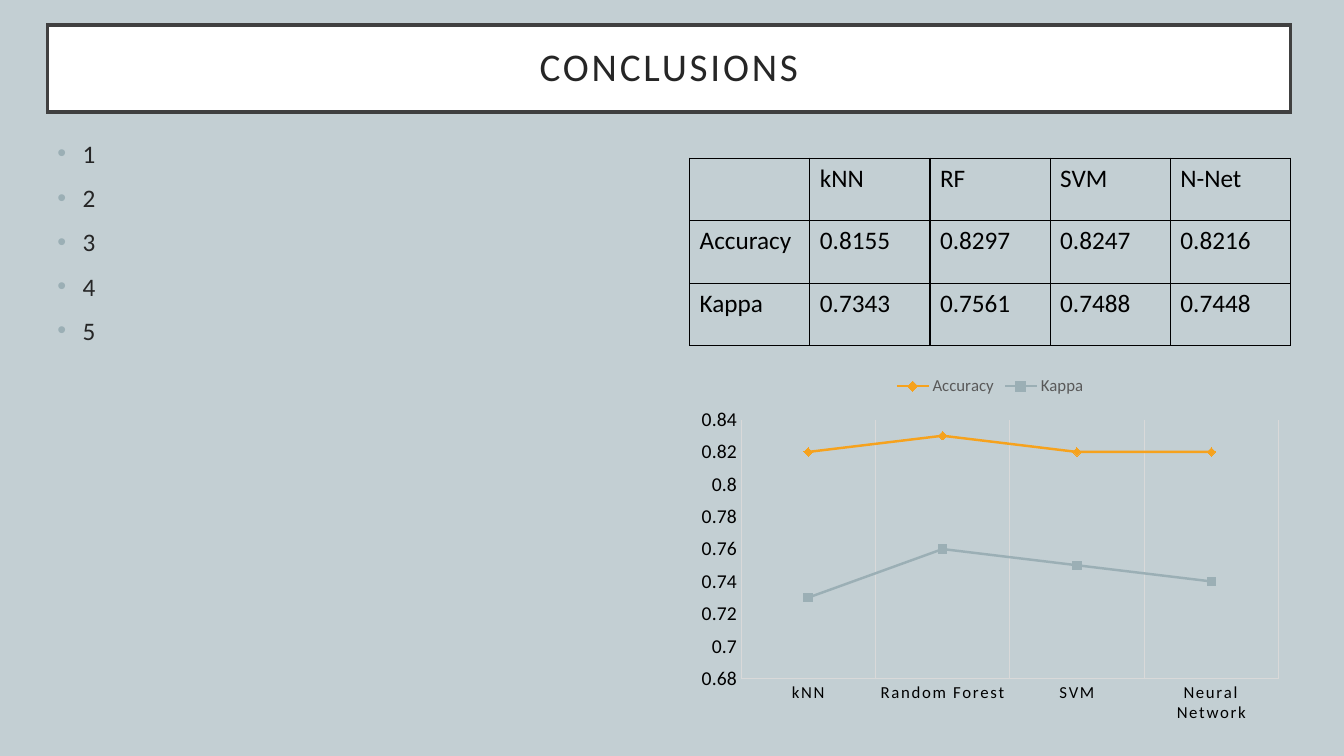
import pptx
import pptx.chart.data
import pptx.dml.color
import pptx.enum.chart
import pptx.enum.text
import pptx.oxml
import pptx.util
from dataclasses import dataclass
from pptx.oxml.ns import qn

TITLE = "CONCLUSIONS"
POINTS = ["1", "2", "3", "4", "5"]
MODELS = {"kNN": "kNN", "RF": "Random Forest", "SVM": "SVM", "N-Net": "Neural Network"}
SCORES = {
    "Accuracy": (0.8155, 0.8297, 0.8247, 0.8216),
    "Kappa": (0.7343, 0.7561, 0.7488, 0.7448),
}


@dataclass(frozen=True)
class Theme:
    font: str = "Calibri"
    background: str = "C3CFD3"
    white: str = "FFFFFF"
    frame: str = "404040"
    text: str = "262626"
    black: str = "000000"
    legend: str = "595959"
    grid: str = "D9D9D9"
    accent: str = "F6A21D"
    muted: str = "9BAFB5"
    title_size: int = 28
    body_size: int = 18
    value_size: int = 14
    label_size: int = 12
    chart_size: int = 10


THEME = Theme()
Inches, Pt = pptx.util.Inches, pptx.util.Pt
MARKER = pptx.enum.chart.XL_MARKER_STYLE
SERIES_STYLE = [(THEME.accent, MARKER.DIAMOND), (THEME.muted, MARKER.SQUARE)]
DRAWING_NS = 'xmlns:a="http://schemas.openxmlformats.org/drawingml/2006/main"'

LEFT, RIGHT = 0.47, 12.8
RIGHT_COLUMN = 6.84
COLUMN_WIDTH = RIGHT - RIGHT_COLUMN
ROW_HEIGHT = 0.62
BOTTOM = 7.24


def rgb(value):
    return pptx.dml.color.RGBColor.from_string(value)


def set_font(font, size, color):
    font.name, font.size = THEME.font, Pt(size)
    font.color.rgb = rgb(color)


def set_fill(fill, color):
    fill.solid()
    fill.fore_color.rgb = rgb(color)


def set_line(line, color, width):
    line.color.rgb = rgb(color)
    line.width = Pt(width)


def add_text(p, text, *, size=THEME.body_size, color=THEME.text, spacing=None):
    r = p.add_run()
    r.text = text
    set_font(r.font, size, color)
    if spacing:
        r.font._element.set("spc", str(spacing * 100))


def place(sp, left, top, width, height):
    sp.left, sp.top, sp.width, sp.height = map(Inches, (left, top, width, height))


def add_bullet(p):
    pPr = p._p.get_or_add_pPr()
    pPr.set("marL", str(Inches(0.25)))
    pPr.set("indent", str(Inches(-0.25)))
    pPr.append(pptx.oxml.parse_xml(
        f'<a:buClr {DRAWING_NS}><a:srgbClr val="{THEME.muted}"/></a:buClr>'))
    pPr.append(pPr.makeelement(qn("a:buChar"), {"char": "•"}))


def add_borders(cell):
    tcPr = cell._tc.get_or_add_tcPr()
    for side in ("L", "R", "T", "B"):
        tcPr.append(pptx.oxml.parse_xml(
            f'<a:ln{side} {DRAWING_NS} w="{Pt(1)}"><a:solidFill>'
            f'<a:srgbClr val="{THEME.black}"/></a:solidFill></a:ln{side}>'))


def add_title(s):
    sp = s.shapes.title
    place(sp, LEFT, 0.25, RIGHT - LEFT, 0.86)
    set_fill(sp.fill, THEME.white)
    set_line(sp.line, THEME.frame, 2.5)
    sp.line._ln.append(pptx.oxml.parse_xml(f'<a:miter {DRAWING_NS} lim="800000"/>'))
    tf = sp.text_frame
    tf.auto_size = pptx.enum.text.MSO_AUTO_SIZE.NONE
    tf.vertical_anchor = pptx.enum.text.MSO_ANCHOR.MIDDLE
    tf.margin_left = tf.margin_right = tf.margin_top = tf.margin_bottom = Inches(0.2)
    p = tf.paragraphs[0]
    p.alignment = pptx.enum.text.PP_ALIGN.CENTER
    p.line_spacing = 0.9
    add_text(p, TITLE, size=THEME.title_size, spacing=2)


def add_points(s):
    sp = s.placeholders[1]
    place(sp, LEFT, 1.32, 6.02, BOTTOM - 1.32)
    tf = sp.text_frame
    tf.auto_size = pptx.enum.text.MSO_AUTO_SIZE.NONE
    for i, point in enumerate(POINTS):
        p = tf.add_paragraph() if i else tf.paragraphs[0]
        add_bullet(p)
        p.space_before = Pt(10 if i else 0)
        add_text(p, point)


def add_score_table(s):
    rows = [["", *MODELS]]
    rows += [[name, *(f"{v:.4f}" for v in values)] for name, values in SCORES.items()]
    table = s.shapes.add_table(
        len(rows), len(rows[0]), Inches(RIGHT_COLUMN), Inches(1.57),
        Inches(COLUMN_WIDTH), Inches(ROW_HEIGHT * len(rows))).table
    table.first_row = table.horz_banding = False
    for row, texts in zip(table.rows, rows):
        for cell, text in zip(row.cells, texts):
            add_borders(cell)
            cell.fill.background()
            if text:
                add_text(cell.text_frame.paragraphs[0], text, color=THEME.black)


def format_axis(axis, size):
    axis.major_tick_mark = axis.minor_tick_mark = pptx.enum.chart.XL_TICK_MARK.NONE
    set_font(axis.tick_labels.font, size, THEME.black)
    set_line(axis.format.line, THEME.grid, 0.75)


def add_score_chart(s):
    data = pptx.chart.data.CategoryChartData()
    data.categories = list(MODELS.values())
    for name, values in SCORES.items():
        data.add_series(name, [round(v, 2) for v in values])
    chart = s.shapes.add_chart(
        pptx.enum.chart.XL_CHART_TYPE.LINE_MARKERS, Inches(RIGHT_COLUMN), Inches(3.62),
        Inches(COLUMN_WIDTH), Inches(BOTTOM - 3.62), data).chart
    set_font(chart.font, THEME.chart_size, THEME.black)
    chart.has_title = False
    chart.has_legend = True
    chart.legend.position = pptx.enum.chart.XL_LEGEND_POSITION.TOP
    chart.legend.include_in_layout = False
    set_font(chart.legend.font, THEME.label_size, THEME.legend)

    cat, val = chart.category_axis, chart.value_axis
    format_axis(cat, THEME.label_size)
    cat.tick_labels.font._element.set("spc", "120")
    cat.has_major_gridlines = True
    set_line(cat.major_gridlines.format.line, THEME.grid, 0.75)
    format_axis(val, THEME.value_size)
    val.has_major_gridlines = False
    val.minimum_scale, val.maximum_scale, val.major_unit = 0.68, 0.84, 0.02

    plot = chart.plots[0]
    plot.vary_by_categories = False
    for series, (color, marker) in zip(plot.series, SERIES_STYLE):
        series.smooth = False
        set_line(series.format.line, color, 1.75)
        series.marker.style, series.marker.size = marker, 6
        set_fill(series.marker.format.fill, color)
        set_line(series.marker.format.line, color, 0.75)


def main():
    prs = pptx.Presentation()
    prs.slide_width, prs.slide_height = Inches(13.33), Inches(7.5)
    s = prs.slides.add_slide(prs.slide_layouts[1])
    set_fill(s.background.fill, THEME.background)
    add_title(s)
    add_points(s)
    add_score_table(s)
    add_score_chart(s)
    prs.save("out.pptx")


if __name__ == "__main__":
    main()
